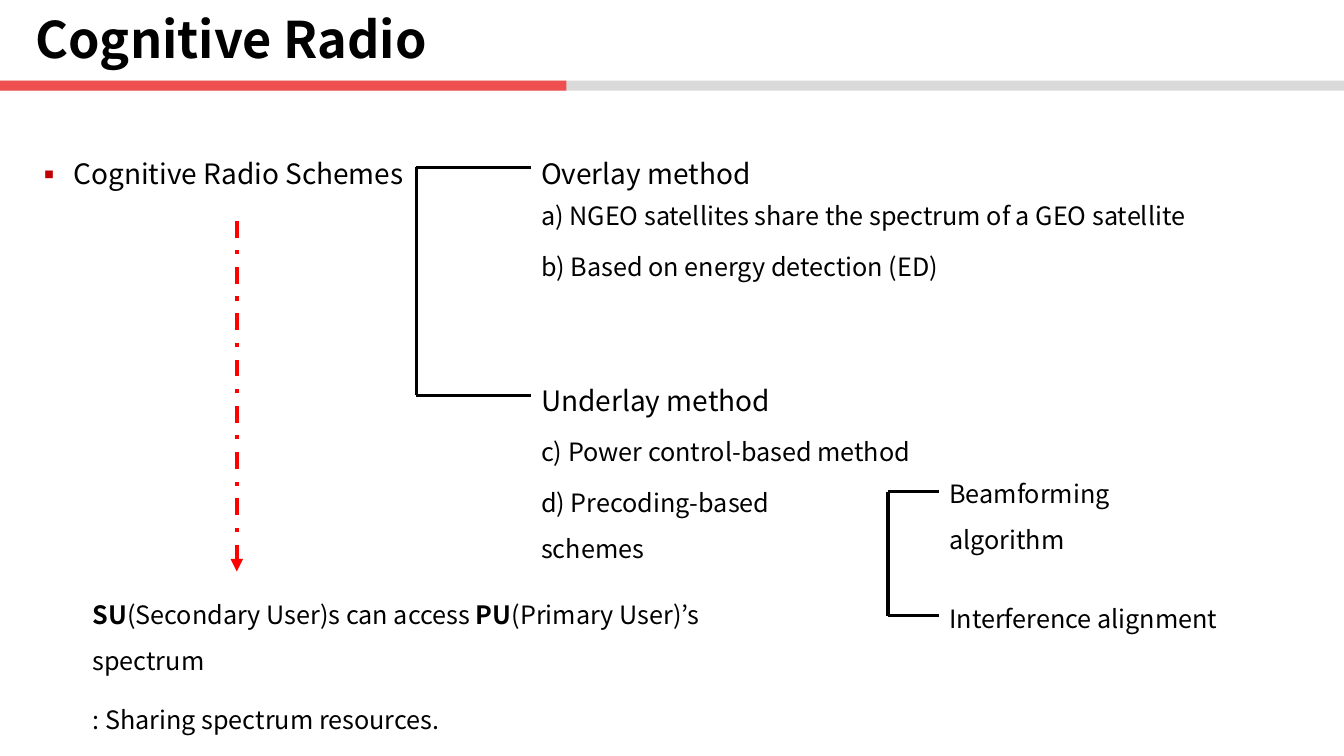
from lxml.etree import SubElement
from pptx import Presentation
from pptx.dml.color import RGBColor
from pptx.enum.dml import MSO_LINE_DASH_STYLE as Dash
from pptx.enum.shapes import MSO_CONNECTOR as Connector, MSO_SHAPE as Shape
from pptx.enum.text import MSO_ANCHOR as Anchor, MSO_AUTO_SIZE as AutoSize, PP_ALIGN as Align
from pptx.oxml.ns import qn
from pptx.util import Inches, Pt

FONT = "Noto Sans CJK KR"
WIDTH, HEIGHT = Inches(13.33), Inches(7.5)
COLUMNS, ROWS = 40, 30
BLACK, RED, DARK_RED, CORAL, GREY = "000000", "FF0000", "C00000", "EF504F", "D9D9D9"
HEADING, BODY = 20, 18
LINE_ROWS = 2.56  # height of a one-line text box
METHOD_COLUMN, PRECODING_COLUMN = 15.81, 27.96


def across(columns):
    return round(WIDTH * columns / COLUMNS)


def down(rows):
    return round(HEIGHT * rows / ROWS)


def area(column, row, columns, rows):
    return across(column), down(row), across(columns), down(rows)


def color(value):
    return RGBColor.from_string(value)


def write(para, text, size=BODY, bold=False, spacing=1.5, before=10):
    """Add one span of text to a paragraph and set the paragraph's spacing."""
    para.alignment = Align.LEFT
    para.line_spacing, para.space_before = spacing, Pt(before)
    span = para.add_run()
    span.text = text
    span.font.name, span.font.size, span.font.bold = FONT, Pt(size), bold
    span.font.color.rgb = color(BLACK)
    SubElement(span.font._element, qn("a:ea"), typeface=FONT)


def add_text(page, column, row, columns, paragraphs, rows=LINE_ROWS, size=BODY):
    """Each paragraph is a list of (text, bold) spans."""
    box = page.shapes.add_textbox(*area(column, row, columns, rows))
    frame = box.text_frame
    frame.word_wrap = True
    for index, spans in enumerate(paragraphs):
        para = frame.add_paragraph() if index else frame.paragraphs[0]
        for text, bold in spans:
            write(para, text, size=size, bold=bold)
    return box


def add_line_of_text(page, column, row, columns, text, size=BODY):
    return add_text(page, column, row, columns, [[(text, False)]], size=size)


def add_bullet(para, indent=0.38):
    props = para._p.get_or_add_pPr()
    props.set("marL", str(Inches(indent)))
    props.set("indent", str(-Inches(indent)))
    tint = SubElement(props, qn("a:buClr"))
    SubElement(tint, qn("a:srgbClr"), val=DARK_RED)
    SubElement(props, qn("a:buFont"), typeface=FONT)
    SubElement(props, qn("a:buChar"), char="▪")


def add_bar(page, columns, fill):
    bar = page.shapes.add_shape(Shape.RECTANGLE, *area(0, 3.2, columns, 0.4))
    bar.shadow.inherit = False
    bar.fill.solid()
    bar.fill.fore_color.rgb = color(fill)
    bar.line.fill.background()


def add_line(page, start, end, stroke=BLACK, width=2.25):
    line = page.shapes.add_connector(
        Connector.STRAIGHT, across(start[0]), down(start[1]), across(end[0]), down(end[1]))
    line.line.color.rgb = color(stroke)
    line.line.width = Pt(width)
    SubElement(line._element.spPr, qn("a:effectLst"))
    return line


def add_bracket(page, left, right, top, bottom):
    add_line(page, (left, top), (left, bottom))
    for row in (top, bottom):
        add_line(page, (left, row), (right, row))


def add_dashed_arrow(page, start, end):
    arrow = add_line(page, start, end, stroke=RED, width=3)
    arrow.line.dash_style = Dash.DASH_DOT
    SubElement(arrow.line._get_or_add_ln(), qn("a:tailEnd"), type="triangle")


def set_title(page, text):
    title = page.shapes.title
    title.left, title.top, title.width, title.height = area(0.75, 0.68, 35.4, 2)
    frame = title.text_frame
    frame.auto_size, frame.word_wrap = AutoSize.NONE, True
    frame.vertical_anchor = Anchor.MIDDLE
    write(frame.paragraphs[0], text, size=36, bold=True, spacing=0.9, before=0)


def main():
    deck = Presentation()
    deck.slide_width, deck.slide_height = WIDTH, HEIGHT
    page = deck.slides.add_slide(deck.slide_layouts[5])

    # Header
    add_bar(page, COLUMNS, GREY)
    add_bar(page, 16.86, CORAL)
    set_title(page, "Cognitive Radio")

    # Schemes and their two methods
    schemes = add_line_of_text(page, 0.75, 5.36, 11.76, "Cognitive Radio Schemes", HEADING)
    add_bullet(schemes.text_frame.paragraphs[0])
    add_bracket(page, 12.39, METHOD_COLUMN, 6.64, 15.68)
    for row, columns, text, size in (
        (5.36, 6.87, "Overlay method", HEADING),
        (7.16, 19.95, "a) NGEO satellites share the spectrum of a GEO satellite", BODY),
        (9.16, 19.95, "b) Based on energy detection (ED)", BODY),
        (14.36, 7.5, "Underlay method", HEADING),
        (16.52, 19.95, "c) Power control-based method", BODY),
        (18.56, 10.4, "d) Precoding-based schemes", BODY),
    ):
        add_line_of_text(page, METHOD_COLUMN, row, columns, text, size)

    # Precoding branches
    add_bracket(page, 26.43, PRECODING_COLUMN, 19.52, 24.44)
    add_line_of_text(page, PRECODING_COLUMN, 18.2, 8.76, "Beamforming algorithm")
    add_line_of_text(page, PRECODING_COLUMN, 23.16, 9.09, "Interference alignment")

    # Meaning of the schemes
    add_text(page, 2.46, 23, 21.84, [
        [("SU", True), ("(Secondary User)s can access ", False),
         ("PU", True), ("(Primary User)’s spectrum", False)],
        [(": Sharing spectrum resources.", False)],
    ], rows=4.44)
    add_dashed_arrow(page, (7.05, 8.76), (7.05, 22.68))

    deck.save("out.pptx")


main()
